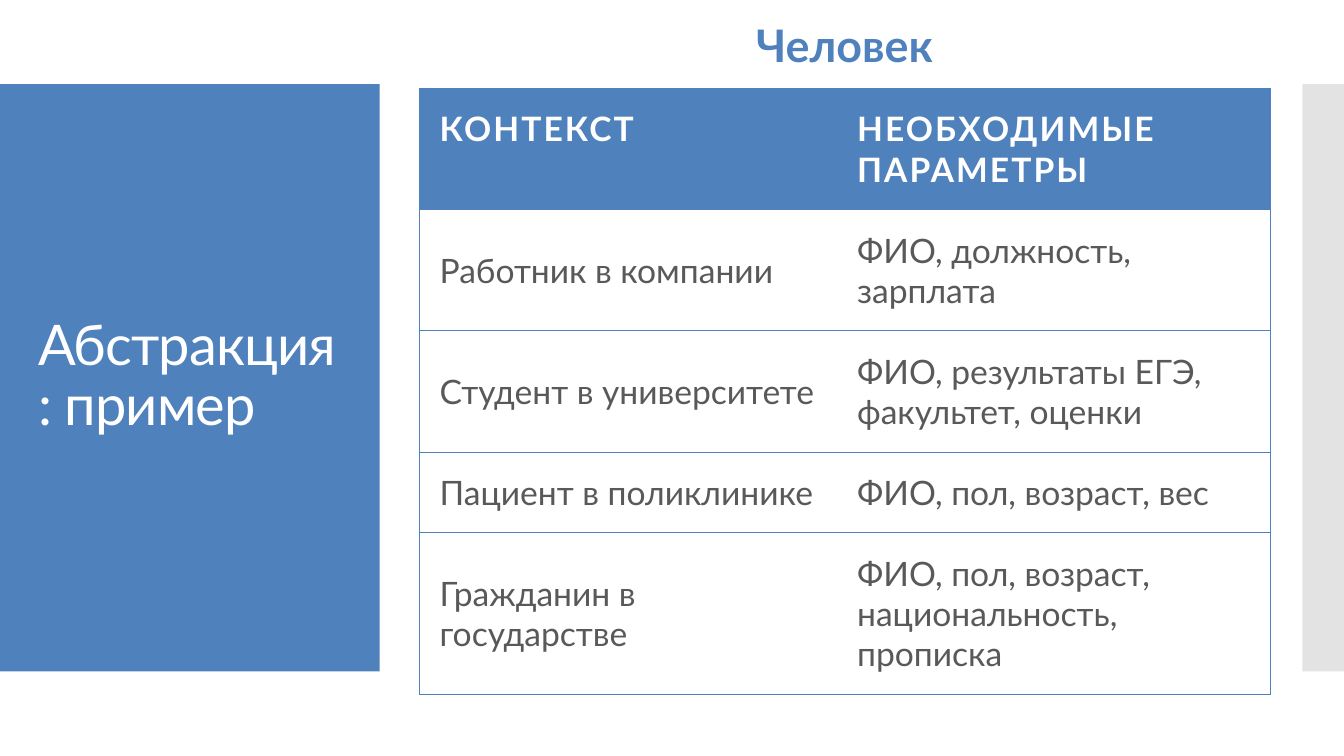
import pptx
import pptx.dml.color
import pptx.enum.shapes
import pptx.enum.text
import pptx.oxml.ns
import pptx.util
from dataclasses import dataclass
from lxml import etree
from pptx.util import Cm

ANCHOR = pptx.enum.text.MSO_ANCHOR
ALIGN = pptx.enum.text.PP_ALIGN


@dataclass(frozen=True)
class Theme:
    font: str = "Lato"
    accent: str = "4F81BD"
    light: str = "FFFFFF"
    body: str = "595959"
    strip: str = "C8C8C8"
    title_size: int = 40
    heading_size: int = 32
    table_size: int = 24
    border: float = 0.75


THEME = Theme()

HEADER = ("КОНТЕКСТ", "НЕОБХОДИМЫЕ ПАРАМЕТРЫ")
CONTEXTS = [
    ("Работник в компании", "ФИО, должность, зарплата"),
    ("Студент в университете", "ФИО, результаты ЕГЭ, факультет, оценки"),
    ("Пациент в поликлинике", "ФИО, пол, возраст, вес"),
    ("Гражданин в государстве", "ФИО, пол, возраст, национальность, прописка"),
]
COLUMN_WIDTHS = (10.52, 10.92)
ROW_HEIGHTS = (2.82, 2.44, 2.82, 1.88, 3.33)


def rgb(color):
    return pptx.dml.color.RGBColor.from_string(color)


def add_xml(parent, tag, **attrs):
    return etree.SubElement(parent, pptx.oxml.ns.qn(tag), **attrs)


def write_text(tf, text, *, size, color, bold=False, spacing=0,
               align=ALIGN.LEFT, line_spacing=None):
    tf.word_wrap = True
    p = tf.paragraphs[0]
    p.alignment = align
    if line_spacing:
        p.line_spacing = line_spacing
    r = p.add_run()
    r.text = text
    r.font.name = THEME.font
    r.font.size = pptx.util.Pt(size)
    r.font.bold = bold
    r.font.color.rgb = rgb(color)
    if spacing:
        r.font._element.set("spc", str(round(spacing * 100)))


def add_panel(s, left, top, width, height, color, alpha=None):
    sp = s.shapes.add_shape(pptx.enum.shapes.MSO_SHAPE.RECTANGLE,
                            Cm(left), Cm(top), Cm(width), Cm(height))
    sp.shadow.inherit = False
    sp.line.fill.background()
    sp.fill.solid()
    sp.fill.fore_color.rgb = rgb(color)
    if alpha is not None:
        fill = sp._element.spPr.find(pptx.oxml.ns.qn("a:solidFill"))
        add_xml(fill[0], "a:alpha", val=str(alpha * 1000))


def add_label(s, left, top, width, height, text, anchor=ANCHOR.TOP, **fmt):
    sp = s.shapes.add_textbox(Cm(left), Cm(top), Cm(width), Cm(height))
    sp.text_frame.vertical_anchor = anchor
    write_text(sp.text_frame, text, **fmt)


def set_borders(cell, visible):
    """Draw the sides listed in visible and clear the others."""
    tcPr = cell._tc.get_or_add_tcPr()
    for i, side in enumerate("LRTB"):
        ln = etree.Element(pptx.oxml.ns.qn("a:ln" + side),
                           w=str(pptx.util.Pt(THEME.border)))
        if side in visible:
            fill = add_xml(ln, "a:solidFill")
            add_xml(fill, "a:srgbClr", val=THEME.accent)
        else:
            add_xml(ln, "a:noFill")
        tcPr.insert(i, ln)


def add_context_table(s, left, top, height):
    rows = [HEADER, *CONTEXTS]
    frame = s.shapes.add_table(len(rows), len(HEADER), Cm(left), Cm(top),
                               Cm(sum(COLUMN_WIDTHS)), Cm(height))
    table = frame.table
    table.horz_banding = False
    for column, width in zip(table.columns, COLUMN_WIDTHS):
        column.width = Cm(width)
    for row, row_height in zip(table.rows, ROW_HEIGHTS):
        row.height = Cm(row_height)
    frame.height = Cm(height)

    for i, texts in enumerate(rows):
        is_header = i == 0
        for j, text in enumerate(texts):
            cell = table.cell(i, j)
            cell.margin_left = cell.margin_right = Cm(0.51)
            cell.margin_top = cell.margin_bottom = Cm(0.51)
            cell.vertical_anchor = ANCHOR.TOP if is_header else ANCHOR.MIDDLE
            if is_header:
                cell.fill.solid()
                cell.fill.fore_color.rgb = rgb(THEME.accent)
            else:
                cell.fill.background()
            set_borders(cell, "TB" + ("L" if j == 0 else "R"))
            write_text(cell.text_frame, text, size=THEME.table_size,
                       color=THEME.light if is_header else THEME.body,
                       bold=is_header, spacing=1.5 if is_header else 0)


def main():
    prs = pptx.Presentation()
    prs.slide_width, prs.slide_height = Cm(33.87), Cm(19.05)
    s = prs.slides.add_slide(prs.slide_layouts[6])

    # Side panels
    add_panel(s, 0, 2.12, 9.57, 14.8, THEME.accent)
    add_panel(s, 32.82, 2.12, 1.05, 14.8, THEME.strip, alpha=50)

    # Slide title
    add_label(s, 0.71, 3.12, 8.23, 12.78, "Абстракция: пример",
              anchor=ANCHOR.MIDDLE, size=THEME.title_size, color=THEME.light,
              spacing=-0.6, line_spacing=0.9)

    # Table and its heading
    add_context_table(s, 10.57, 2.23, 14.58)
    add_label(s, 13.87, 0.33, 14.83, 1.63, "Человек", align=ALIGN.CENTER,
              size=THEME.heading_size, color=THEME.accent, bold=True)

    prs.save("out.pptx")


main()
